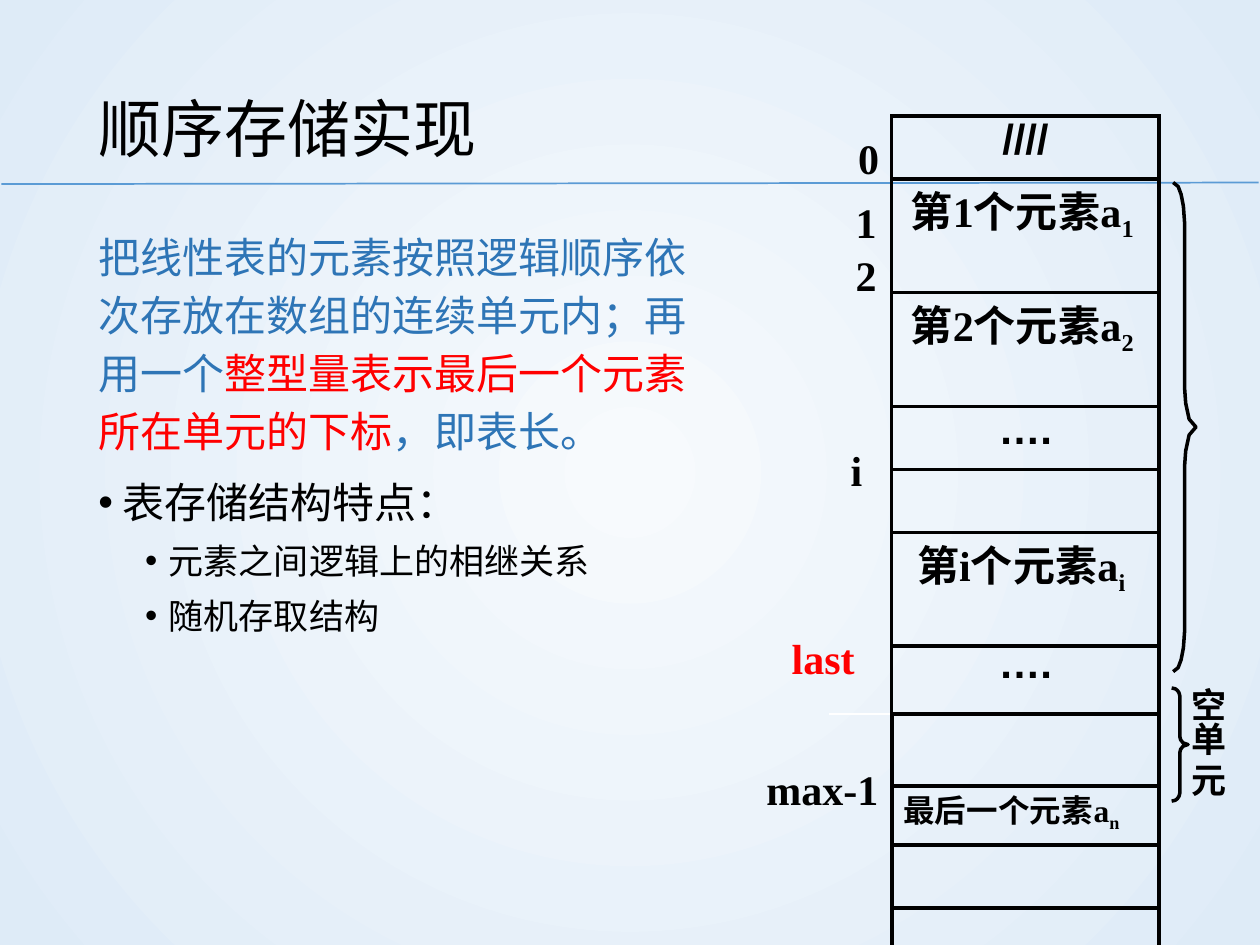
"""Build a slide on storing a linear list sequentially in an array."""
from lxml.etree import SubElement
from pptx import Presentation
from pptx.dml.color import RGBColor
from pptx.enum.shapes import MSO_CONNECTOR
from pptx.enum.text import MSO_ANCHOR, MSO_AUTO_SIZE, PP_ALIGN
from pptx.oxml.ns import qn
from pptx.util import Cm, Pt

BLACK = RGBColor(0x00, 0x00, 0x00)
WHITE = RGBColor(0xFF, 0xFF, 0xFF)
RED = RGBColor(0xFF, 0x00, 0x00)
BLUE = RGBColor(0x2E, 0x75, 0xB6)
RULE_BLUE = RGBColor(0x5B, 0x9B, 0xD5)
GLOW = RGBColor(0xF7, 0xFA, 0xFD)
EDGE = RGBColor(0xDE, 0xEB, 0xF7)
SANS, SERIF, HAN = "Arial", "Times New Roman", "Noto Sans CJK SC"
NO_STYLE = "{2D5ABB26-0587-4C30-8999-92F81FD0307C}"

TITLE = "顺序存储实现"
BODY = [
    ([("把线性表的元素按照逻辑顺序依次存放在数组的连续单元内；再用一个", BLUE),
      ("整型量表示最后一个元素所在单元的下标", RED), ("，即表长。", BLUE)], 0, 24, 0, 7.5),
    ([("表存储结构特点：", BLACK)], 0, 24, 0.48, 7.5),
    ([("元素之间逻辑上的相继关系", BLACK)], 1, 20, 1.42, 3.8),
    ([("随机存取结构", BLACK)], 1, 20, 1.42, 3.8),
]
BULLET_HANG = 0.48


def element_cell(number, indent):
    """Return the runs and format of the cell for one numbered element."""
    runs = [("第", HAN, 0, 0), (number, SERIF, 0, 0), ("个元素", HAN, 0.1, 0),
            ("a", SERIF, 0.1, 0), (number, SERIF, 0, -24)]
    return runs, {"indent": indent}, 24


DOTS = [("….", SANS, 0, 0)]
ARRAY_ROWS = [
    (1.27, ([("////", SANS, -0.1, 0)], {"align": PP_ALIGN.CENTER}, 24)),
    (1.27, element_cell("1", 0.38)),
    (1.27, element_cell("2", 0.38)),
    (1.27, (DOTS, {"align": PP_ALIGN.CENTER}, 24)),
    (1.27, None),
    (1.27, element_cell("i", 0.51)),
    (1.37, (DOTS, {"align": PP_ALIGN.CENTER, "line": Pt(23.4)}, 24)),
    (1.45, None),
    (1.19, ([("最后一个元素", HAN, 0.1, 0), ("a", SERIF, -0.1, 0), ("n", SERIF, 0, -23)],
            {"indent": 0.23}, 18)),
    (1.27, None),
    (1.27, None),
]
ARRAY_PLACE, ARRAY_COLUMNS = (16.71, 2.34), (1.27, 5.38)
GAP_ROW = 7

INDEX_STYLE = {"size": 24, "font": SERIF, "bold": True}
SPARE_STYLE = {"size": 20, "font": HAN, "bold": True, "spacing": -0.2}
LABELS = [
    ((17.22, 2.67, 0.53, 3.4), [("0", 0.08, 0), ("1", 0.03, 7.6), ("2", 0.03, 1.9)],
     INDEX_STYLE, None),
    ((15.93, 12.75, 1.35, 1.02), [("last", 0.03, 0)], {**INDEX_STYLE, "color": RED}, None),
    ((17.12, 8.97, 0.3, 1.02), [("i", 0.03, 0)], INDEX_STYLE, None),
    ((15.42, 15.39, 2.34, 1.02), [("max-1", 0.03, 0)], INDEX_STYLE, None),
    ((24, 15.29, 0.79, 0.84), [("元", 0.03, 0)], SPARE_STYLE, Pt(23.8)),
    ((24, 13.94, 0.79, 1.37), [("空 单", 0.03, 0)], SPARE_STYLE, Pt(19.3)),
]
BRACES = [(23.65, 3.68, 0.46, 9.86, 0.8), (23.62, 13.87, 0.33, 2.28, 0.16)]
BRACE_END = [(0, 0), (0.22, 0.1), (0.35, 0.3), (0.45, 0.6), (0.5, 1)]
BRACE_TIP = [(0.5, 1), (0.55, 0.6), (0.7, 0.2), (1, 0)]


def add_text(paragraph, text, *, size, font=SANS, color=BLACK, bold=False, spacing=0, baseline=0):
    run = paragraph.add_run()
    run.text = text
    run.font.size, run.font.name, run.font.bold = Pt(size), font, bold
    run.font.color.rgb = color
    properties = run.font._element
    SubElement(properties, qn("a:ea"), typeface=HAN)
    if spacing:
        properties.set("spc", str(round(spacing * 100)))
    if baseline:
        properties.set("baseline", str(baseline * 1000))


def format_paragraph(paragraph, *, align=PP_ALIGN.LEFT, indent=0, hang=0, line=None, before=0,
                     bullet=None):
    paragraph.alignment = align
    paragraph.space_before = Pt(before)
    if line:
        paragraph.line_spacing = line
    properties = paragraph._p.get_or_add_pPr()
    properties.set("marL", str(Cm(indent)))
    properties.set("indent", str(-Cm(hang)))
    if bullet:
        SubElement(properties, qn("a:buFont"), typeface=SANS)
        SubElement(properties, qn("a:buChar"), char=bullet)
    else:
        SubElement(properties, qn("a:buNone"))


def paragraphs_of(frame, count):
    return [frame.paragraphs[0]] + [frame.add_paragraph() for _ in range(count - 1)]


def place(shape, left, top, width, height):
    shape.left, shape.top, shape.width, shape.height = map(Cm, (left, top, width, height))


def set_borders(cell, **sides):
    properties = cell._tc.get_or_add_tcPr()
    drawn = [side for side in "LRTB" if side in sides]
    for position, side in enumerate(drawn):
        color, width = sides[side]
        border = SubElement(properties, qn(f"a:ln{side}"), w=str(Pt(width)))
        fill = SubElement(border, qn("a:solidFill"))
        SubElement(fill, qn("a:srgbClr"), val=str(color))
        properties.insert(position, border)


def paint_background(slide):
    fill = slide.background.fill
    fill.gradient()
    for stop, color in zip(fill.gradient_stops, (GLOW, EDGE)):
        stop.color.rgb = color
    for position, stop in enumerate(fill.gradient_stops):
        stop.position = position
    gradient = slide.element.find(".//" + qn("a:gradFill"))
    gradient.remove(gradient.find(qn("a:lin")))
    circle = SubElement(gradient, qn("a:path"), path="circle")
    SubElement(circle, qn("a:fillToRect"), l="50000", t="50000", r="50000", b="50000")


def add_rule(slide):
    rule = slide.shapes.add_connector(MSO_CONNECTOR.STRAIGHT, Cm(0.03), Cm(3.71), Cm(25.37), Cm(3.68))
    rule.line.color.rgb, rule.line.width = RULE_BLUE, Pt(1)
    SubElement(rule._element.spPr, qn("a:effectLst"))


def add_array(slide):
    heights = [height for height, _ in ARRAY_ROWS]
    frame = slide.shapes.add_table(len(heights), 2, *map(
        Cm, (*ARRAY_PLACE, sum(ARRAY_COLUMNS), sum(heights))))
    table = frame.table
    table.first_row = table.horz_banding = False
    table._tbl.tblPr.find(qn("a:tableStyleId")).text = NO_STYLE
    for column, width in zip(table.columns, ARRAY_COLUMNS):
        column.width = Cm(width)
    for index, (height, content) in enumerate(ARRAY_ROWS):
        table.rows[index].height = Cm(height)
        gutter, cell = table.cell(index, 0), table.cell(index, 1)
        gutter.fill.background()
        cell.fill.background()
        set_borders(cell, L=(BLACK, 2), **{side: (BLACK, 2.25) for side in "RTB"})
        if content:
            runs, layout, size = content
            cell.margin_left = cell.margin_right = cell.margin_top = cell.margin_bottom = 0
            paragraph = cell.text_frame.paragraphs[0]
            format_paragraph(paragraph, **layout)
            for text, font, spacing, baseline in runs:
                add_text(paragraph, text, size=size, font=font, bold=True, spacing=spacing,
                         baseline=baseline)
    table.cell(0, 0).merge(table.cell(GAP_ROW - 1, 0))
    table.cell(GAP_ROW, 0).merge(table.cell(len(heights) - 1, 0))
    set_borders(table.cell(0, 0), R=(BLACK, 2), B=(WHITE, 0.75))
    set_borders(table.cell(GAP_ROW, 0), R=(BLACK, 2.25), T=(WHITE, 0.75))


def add_brace(slide, left, top, width, height, corner):
    half = [(x, y * corner) for x, y in BRACE_END]
    half += [(x, height / 2 - y * corner) for x, y in BRACE_TIP]
    outline = half + [(x, height - y) for x, y in half[-2::-1]]
    points = [(Cm(left + x * width), Cm(top + y)) for x, y in outline]
    builder = slide.shapes.build_freeform(*points[0])
    builder.add_line_segments(points[1:], close=False)
    brace = builder.convert_to_shape()
    brace.fill.background()
    brace.line.color.rgb, brace.line.width = BLACK, Pt(2)
    brace.shadow.inherit = False


def add_label(slide, box, lines, style, line_spacing):
    frame = slide.shapes.add_textbox(*map(Cm, box)).text_frame
    frame.word_wrap = True
    frame.margin_left = frame.margin_right = frame.margin_top = frame.margin_bottom = 0
    for paragraph, (text, indent, before) in zip(paragraphs_of(frame, len(lines)), lines):
        format_paragraph(paragraph, indent=indent, before=before, line=line_spacing)
        add_text(paragraph, text, **style)


def main():
    deck = Presentation()
    deck.slide_width, deck.slide_height = Cm(25.4), Cm(19.05)
    slide = deck.slides.add_slide(deck.slide_layouts[1])
    paint_background(slide)
    add_rule(slide)
    add_array(slide)

    title, body = slide.placeholders
    place(title, 1.73, 0.58, 21.89, 3.68)
    title.text_frame.vertical_anchor = MSO_ANCHOR.MIDDLE
    heading = title.text_frame.paragraphs[0]
    format_paragraph(heading, line=1.2)
    add_text(heading, TITLE, size=36)

    place(body, 1.73, 4.39, 13.13, 12.09)
    body.text_frame.auto_size = MSO_AUTO_SIZE.NONE
    for paragraph, (runs, level, size, indent, before) in zip(
            paragraphs_of(body.text_frame, len(BODY)), BODY):
        paragraph.level = level
        format_paragraph(paragraph, indent=indent, hang=BULLET_HANG if indent else 0, line=1.15,
                         before=before, bullet="•" if indent else None)
        for text, color in runs:
            add_text(paragraph, text, size=size, color=color)

    for brace in BRACES:
        add_brace(slide, *brace)
    for label in LABELS:
        add_label(slide, *label)
    deck.save("out.pptx")


if __name__ == "__main__":
    main()
